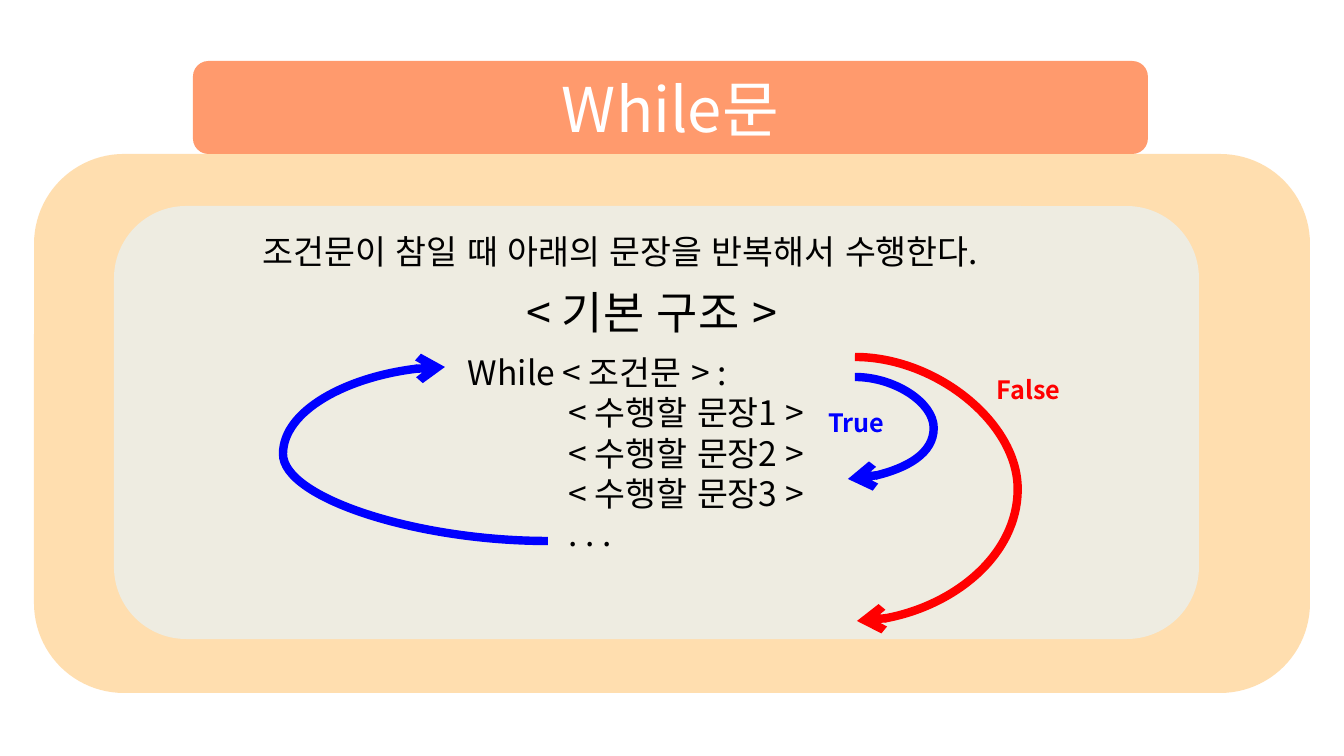
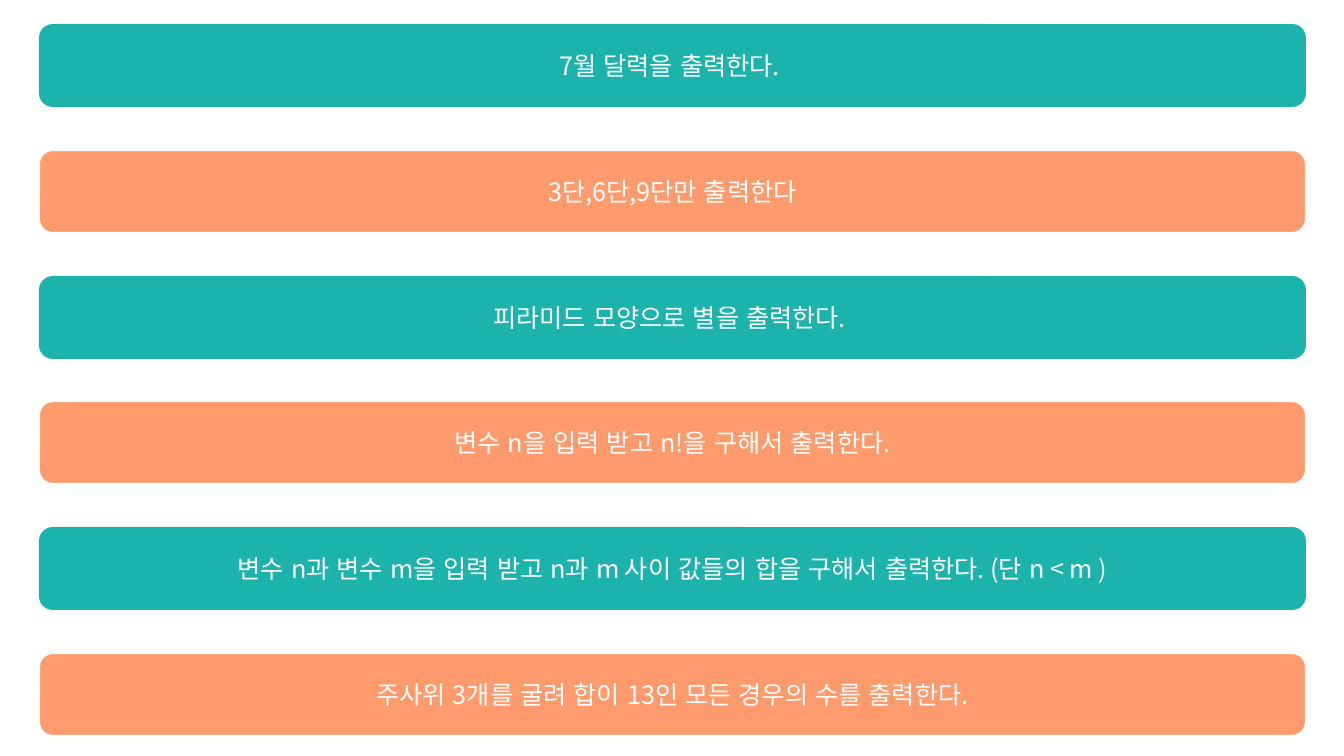
from lxml import etree
from pptx import Presentation
from pptx import util as u
from pptx.dml.color import RGBColor
from pptx.enum import shapes, text
from pptx.oxml.ns import qn

# Content
TITLE = "While문"
SUMMARY = "조건문이 참일 때 아래의 문장을 반복해서 수행한다."
HEADING = "< 기본 구조 > "
STRUCTURE = ["While < 조건문 > :", "\t< 수행할 문장1 >", "\t< 수행할 문장2 >",
             "\t< 수행할 문장3 >", "\t. . ."]
EXERCISES = [
    "7월 달력을 출력한다. ",
    "3단,6단,9단만 출력한다",
    "피라미드 모양으로 별을 출력한다. ",
    "변수 n을 입력 받고 n!을 구해서 출력한다.",
    "변수 n과 변수 m을 입력 받고 n과 m 사이 값들의 합을 구해서 출력한다. (단 n < m )",
    "주사위 3개를 굴려 합이 13인 모든 경우의 수를 출력한다.",
]

# Shared style
FONT = "Noto Sans CJK KR"
WHITE = RGBColor(0xFF, 0xFF, 0xFF)
BLACK = RGBColor(0, 0, 0)
CORAL = RGBColor(0xFF, 0x9A, 0x6D)
TEAL = RGBColor(0x1D, 0xB3, 0xAD)
AMBER = RGBColor(0xFF, 0xBE, 0x61)
IVORY = RGBColor(0xEE, 0xEC, 0xE1)
BLUE = RGBColor(0, 0, 0xFF)
RED = RGBColor(0xFF, 0, 0)
SLIDE_W, SLIDE_H = 1344, 756

# Flow arrows: start, end, x of the bulge, colour
FLOWS = [
    ((855, 377), (848, 479), 934, BLUE),
    ((548, 541), (445, 367), 283, BLUE),
    ((855, 357), (857, 621), 1019, RED),
]
BRANCHES = [("True", (800, 402, 113, 64), BLUE),
            ("False", (966, 369, 125, 64), RED)]


def px(*lengths):
    return [u.Emu(round(n * 914400 / 100.8)) for n in lengths]


def write(frame, lines, size, color, align=None, bold=None):
    for i, line in enumerate(lines):
        para = frame.add_paragraph() if i else frame.paragraphs[0]
        para.alignment = align
        if line.startswith("\t"):
            stops = etree.SubElement(para._p.get_or_add_pPr(), qn("a:tabLst"))
            etree.SubElement(stops, qn("a:tab"), pos=str(u.Inches(1)), algn="l")
        run = para.add_run()
        run.text = line
        font = run.font
        font.size, font.bold, font.name = u.Pt(size), bold, FONT
        font.color.rgb = color
        props = run._r.get_or_add_rPr()
        props.set("lang", "ko-KR")
        props.set("kern", "0")
        etree.SubElement(props, qn("a:ea"), typeface=FONT)


def add_panel(slide, box, fill, label=None, size=18, outline=None, alpha=None):
    panel = slide.shapes.add_shape(shapes.MSO_SHAPE.ROUNDED_RECTANGLE, *px(*box))
    panel.shadow.inherit = False
    panel.fill.solid()
    panel.fill.fore_color.rgb = fill
    if alpha:
        color = panel._element.spPr.find(".//" + qn("a:srgbClr"))
        etree.SubElement(color, qn("a:alpha"), val=str(alpha * 1000))
    if outline:
        panel.line.color.rgb = outline
        panel.line.width = u.Pt(1.5)
    else:
        panel.line.fill.background()
    if label:
        panel.text_frame.vertical_anchor = text.MSO_ANCHOR.MIDDLE
        write(panel.text_frame, [label], size, WHITE, text.PP_ALIGN.CENTER)


def add_text(slide, box, lines, size, color=BLACK, align=None, bold=None, wrap=True):
    frame = slide.shapes.add_textbox(*px(*box)).text_frame
    frame.word_wrap = wrap
    frame.auto_size = text.MSO_AUTO_SIZE.SHAPE_TO_FIT_TEXT
    write(frame, lines, size, color, align, bold)


def add_flow(slide, start, end, bulge, color):
    flow = slide.shapes.add_connector(shapes.MSO_CONNECTOR.CURVE, *px(*start, *end))
    flow.line.color.rgb = color
    flow.line.width = u.Pt(6)
    props = flow._element.spPr
    bend = round((bulge - start[0]) / (end[0] - start[0]) * 100000)
    guides = props.find(qn("a:prstGeom")).find(qn("a:avLst"))
    etree.SubElement(guides, qn("a:gd"), name="adj1", fmla=f"val {bend}")
    etree.SubElement(props.find(qn("a:ln")), qn("a:tailEnd"), type="arrow")
    etree.SubElement(props, qn("a:effectLst"))


deck = Presentation()
deck.slide_width, deck.slide_height = px(SLIDE_W, SLIDE_H)
blank = deck.slide_layouts[6]

# Slide 1: the while statement
loop = deck.slides.add_slide(blank)
add_panel(loop, (193, 61, 955, 93), CORAL, TITLE, 44)
add_panel(loop, (34, 154, 1276, 539), AMBER, alpha=50)
add_panel(loop, (114, 206, 1085, 433), IVORY)
add_text(loop, (458, 347, 398, 214), STRUCTURE, 24)
add_text(loop, (458, 280, 398, 64), [HEADING], 32, align=text.PP_ALIGN.CENTER)
add_text(loop, (253, 226, 805, 50), [SUMMARY], 24)
for flow in FLOWS:
    add_flow(loop, *flow)
for name, box, color in BRANCHES:
    add_text(loop, box, [name], 18, color, text.PP_ALIGN.CENTER, bold=True, wrap=False)

# Slide 2: exercises in evenly spaced bars of alternating colour
practice = deck.slides.add_slide(blank)
BAR_LEFT, BAR_TOP, BAR_W, BAR_H, BAR_STEP = 39, 24, 1267, 83, 125.8
for i, exercise in enumerate(EXERCISES):
    fill, outline = ((TEAL, None), (CORAL, WHITE))[i % 2]
    bar = (BAR_LEFT, round(BAR_TOP + i * BAR_STEP), BAR_W, BAR_H)
    add_panel(practice, bar, fill, exercise, outline=outline)

deck.save("out.pptx")
